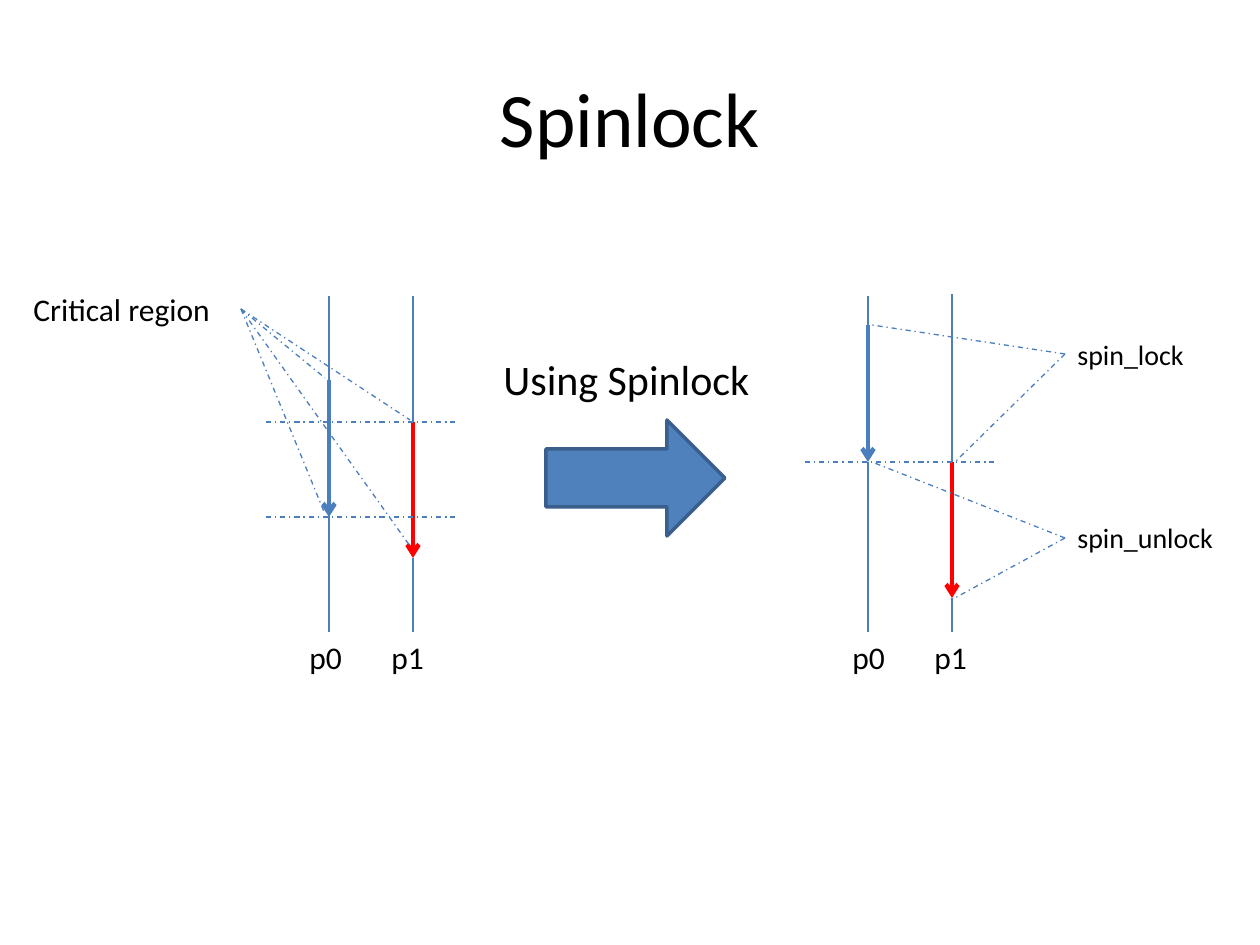
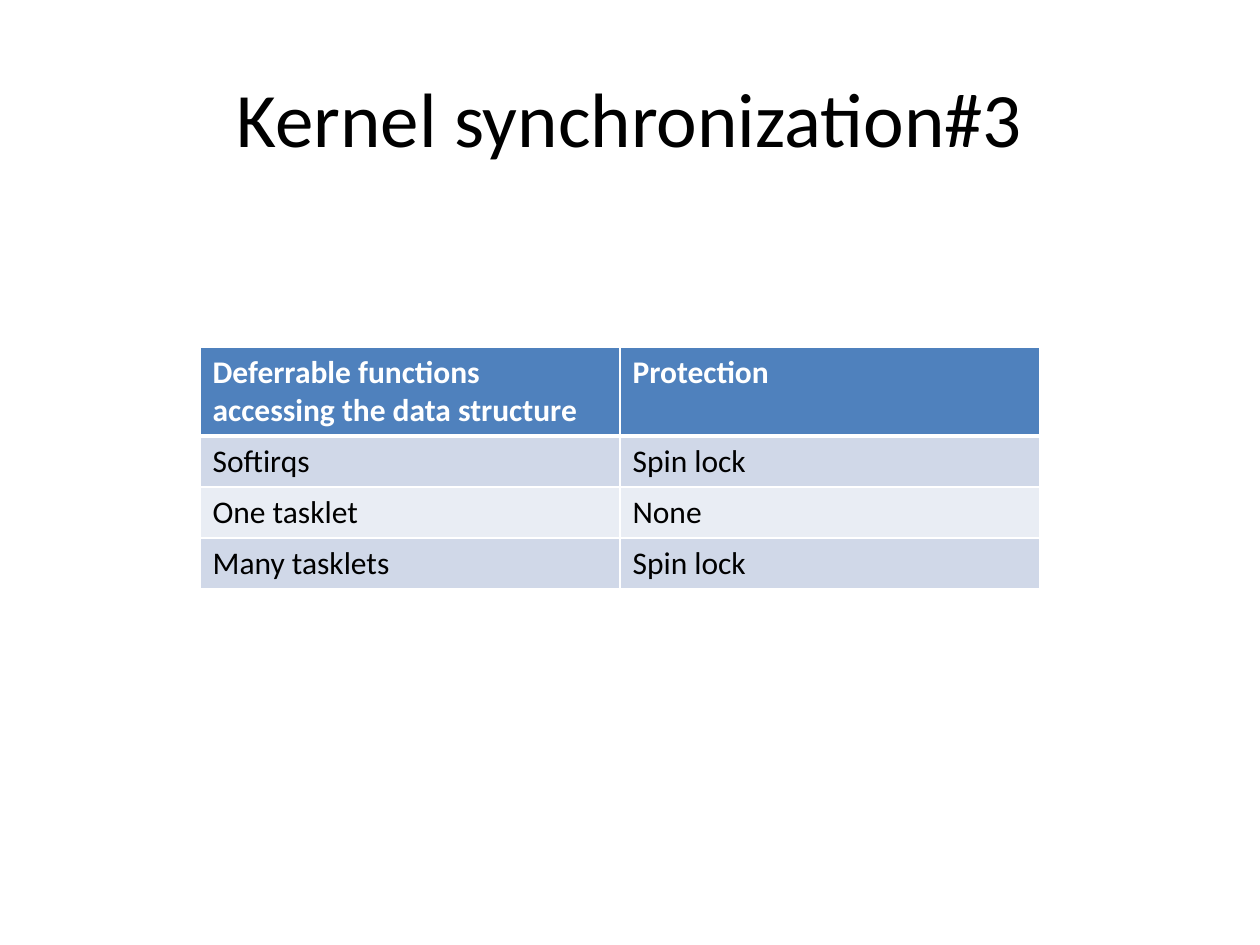
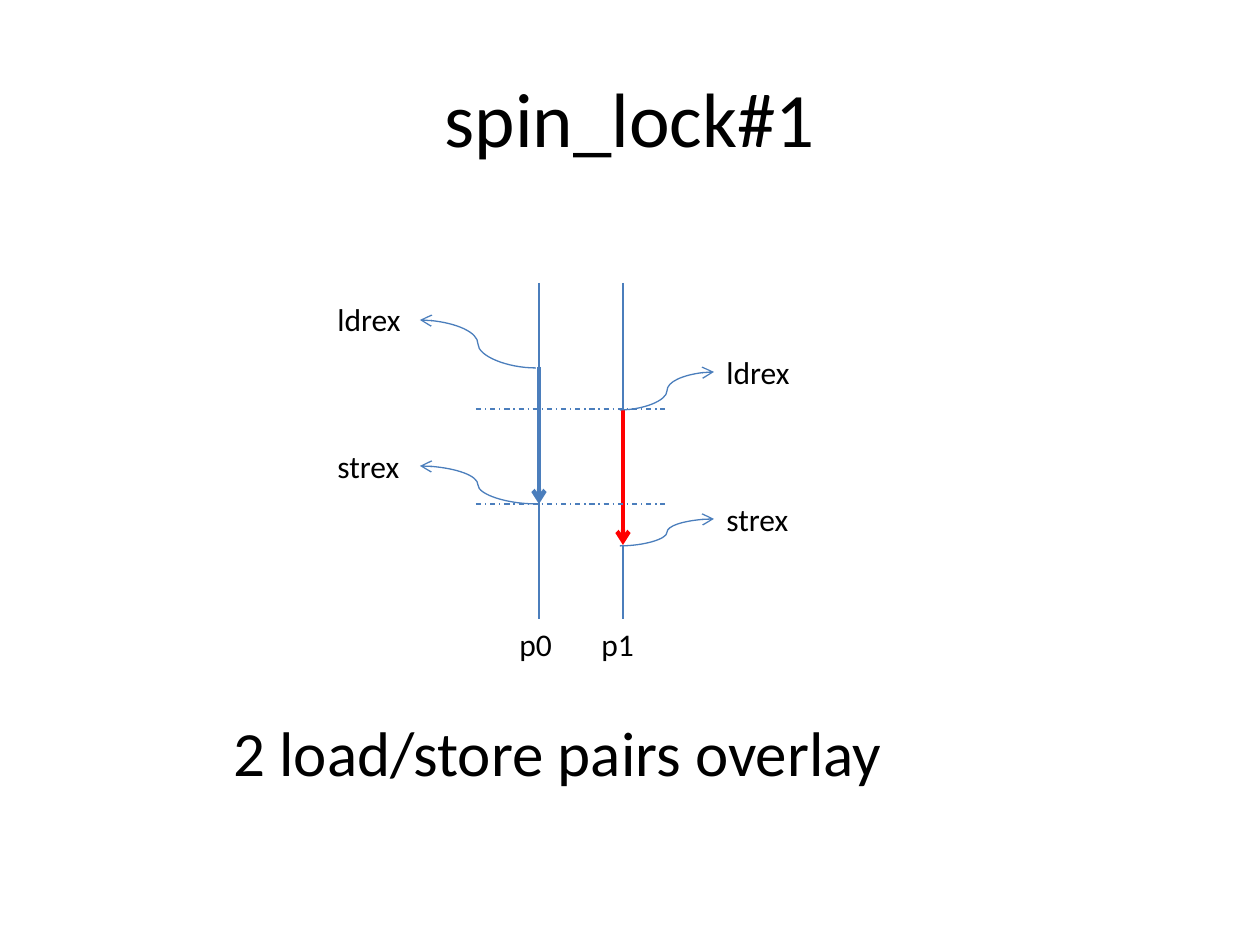
from dataclasses import dataclass

from lxml.etree import SubElement
from pptx import Presentation
from pptx.dml.color import RGBColor
from pptx.enum.dml import MSO_LINE_DASH_STYLE as Dash
from pptx.enum.shapes import MSO_CONNECTOR as Connector, MSO_SHAPE as Preset
from pptx.enum.text import MSO_ANCHOR as Anchor, MSO_AUTO_SIZE as AutoSize, PP_ALIGN as Align
from pptx.oxml.ns import qn
from pptx.util import Emu, Pt

# Shared look
PIXEL = 914400 / 126
FONT = "Calibri"
COLORS = {
    "text": "000000",
    "white": "FFFFFF",
    "line": "4B7EBC",
    "second": "FF0000",
    "fill": "4F81BD",
    "outline": "3A5F8C",
    "odd_row": "D0D8E8",
    "even_row": "E9EDF4",
}


@dataclass
class Label:
    text: str
    left: int
    top: int
    width: int
    height: int = 50
    size: int = 18


@dataclass
class Stroke:
    color: str = "line"
    width: float = 0.75
    dashed: bool = False
    arrow: bool = False


@dataclass
class Lane:
    """One process: a thin time line with a thick arrow where it is busy."""
    name: str
    x: int
    top: int
    before_end: int
    busy_start: int
    busy_end: int
    after_start: int
    label_left: int
    color: str = "line"
    bottom: int = 632


THIN = Stroke(width=1.25)
DASHED = Stroke(dashed=True)
POINTER = Stroke(arrow=True)

# Two lanes whose busy parts overlap, and the levels marked across them
OVERLAPPING = [
    Lane("p0", 329, 296, 391, 380, 517, 495, 297),
    Lane("p1", 413, 296, 432, 422, 558, 558, 379, "second"),
]
OVERLAP_LEVELS = [422, 517]
# The same lanes, taking turns
IN_TURN = [
    Lane("p0", 868, 296, 391, 325, 462, 462, 840),
    Lane("p1", 952, 294, 462, 462, 598, 598, 922, "second"),
]
LEVEL_OVERHANG, LEVEL_WIDTH = 63, 189


def px(value: float) -> Emu:
    return Emu(round(value * PIXEL))


def rgb(name: str) -> RGBColor:
    return RGBColor.from_string(COLORS[name])


def write(frame, text: str, size: int, color: str = "text", bold: bool = False,
          align=Align.LEFT) -> None:
    para = frame.paragraphs[0]
    para.alignment = align
    span = para.add_run()
    span.text = text
    for key, value in {"name": FONT, "size": Pt(size), "bold": bold}.items():
        setattr(span.font, key, value)
    span.font.color.rgb = rgb(color)


def add_label(page, label: Label) -> None:
    box = page.shapes.add_textbox(*map(px, (label.left, label.top, label.width, label.height)))
    frame = box.text_frame
    for key, value in {"word_wrap": False, "auto_size": AutoSize.SHAPE_TO_FIT_TEXT}.items():
        setattr(frame, key, value)
    write(frame, label.text, label.size)


def add_line(page, start: tuple[int, int], end: tuple[int, int], stroke: Stroke,
             kind=Connector.STRAIGHT) -> None:
    line = page.shapes.add_connector(kind, *map(px, (*start, *end)))
    line.line.color.rgb = rgb(stroke.color)
    line.line.width = Pt(stroke.width)
    if stroke.dashed:
        line.line.dash_style = Dash.DASH_DOT
    properties = line._element.spPr
    if stroke.arrow:
        SubElement(properties.find(qn("a:ln")), qn("a:tailEnd"), type="arrow")
    SubElement(properties, qn("a:effectLst"))


def add_lanes(page, lanes: list[Lane], levels: list[int], dx: int = 0, dy: int = 0) -> None:
    for lane in lanes:
        x = lane.x + dx
        for start, end, stroke in (
            (lane.top, lane.before_end, THIN),
            (lane.after_start, lane.bottom, THIN),
            (lane.busy_start, lane.busy_end, Stroke(lane.color, 2.5, arrow=True)),
        ):
            add_line(page, (x, start + dy), (x, end + dy), stroke)
        add_label(page, Label(lane.name, lane.label_left + dx, lane.bottom + dy, 60))
    left = lanes[0].x - LEVEL_OVERHANG + dx
    for level in levels:
        add_line(page, (left, level + dy), (left + LEVEL_WIDTH, level + dy), DASHED)


def add_fan(page, tip: tuple[int, int], ends: list[tuple[int, int]]) -> None:
    for end in ends:
        add_line(page, tip, end, DASHED)


def add_page(deck, title: str):
    page = deck.slides.add_slide(deck.slide_layouts[6])
    box = page.shapes.add_textbox(*map(px, (63, 38, 1134, 157)))
    for key, value in {"word_wrap": True, "vertical_anchor": Anchor.MIDDLE}.items():
        setattr(box.text_frame, key, value)
    write(box.text_frame, title, 44, align=Align.CENTER)
    return page


def set_borders(cell, bottom: float) -> None:
    properties = cell._tc.get_or_add_tcPr()
    for side, width in {"L": 1, "R": 1, "T": 1, "B": bottom}.items():
        border = SubElement(properties, qn(f"a:ln{side}"), w=str(Pt(width)))
        fill = SubElement(border, qn("a:solidFill"))
        SubElement(fill, qn("a:srgbClr"), val=COLORS["white"])


def add_grid(page, rows: list[tuple[str, str]]) -> None:
    heights = [89] + [51] * (len(rows) - 1)
    table = page.shapes.add_table(
        len(rows), 2, *map(px, (200, 347, 840, sum(heights)))).table
    for column in table.columns:
        column.width = px(420)
    for r, (texts, height) in enumerate(zip(rows, heights)):
        header = r == 0
        table.rows[r].height = px(height)
        for c, text in enumerate(texts):
            cell = table.cell(r, c)
            set_borders(cell, 3 if header else 1)
            cell.fill.solid()
            cell.fill.fore_color.rgb = rgb(
                "fill" if header else "odd_row" if r % 2 else "even_row")
            write(cell.text_frame, text, 18, "white" if header else "text", header)


deck = Presentation()
deck.slide_width, deck.slide_height = px(1260), px(945)

# Slide 1: overlapping critical regions become sequential
page = add_page(deck, "Spinlock")
add_lanes(page, OVERLAPPING, OVERLAP_LEVELS)
add_lanes(page, IN_TURN, [462])
arrow = page.shapes.add_shape(Preset.RIGHT_ARROW, *map(px, (546, 420, 179, 116)))
arrow.shadow.inherit = False
arrow.fill.solid()
arrow.fill.fore_color.rgb = rgb("fill")
arrow.line.color.rgb = rgb("outline")
arrow.line.width = Pt(2)
for label in (
    Label("Critical region", 21, 284, 219),
    Label("Using Spinlock", 491, 347, 306, 63, 24),
    Label("spin_lock", 1065, 331, 142, 47, 16),
    Label("spin_unlock", 1065, 514, 174, 47, 16),
):
    add_label(page, label)
add_fan(page, (241, 309), [(325, 378), (325, 514), (410, 420), (410, 546)])
add_fan(page, (1065, 354), [(872, 325), (955, 462)])
add_fan(page, (1065, 538), [(872, 462), (955, 598)])

# Slide 2: protection table
page = add_page(deck, "Kernel synchronization#3")
add_grid(page, [
    ("Deferrable functions accessing the data structure", "Protection"),
    ("Softirqs", "Spin lock"),
    ("One tasklet", "None"),
    ("Many tasklets", "Spin lock"),
])

# Slide 3: overlapping load/store pairs
page = add_page(deck, "spin_lock#1")
add_lanes(page, OVERLAPPING, OVERLAP_LEVELS, dx=210, dy=-13)
for label in (
    Label("ldrex", 325, 294, 95),
    Label("strex", 325, 441, 95),
    Label("ldrex", 714, 347, 95),
    Label("strex", 714, 494, 95),
    Label("2 load/store pairs overlay", 221, 707, 736, 89, 36),
):
    add_label(page, label)
for start, end in (
    ((536, 368), (420, 320)),
    ((536, 504), (420, 466)),
    ((620, 410), (714, 372)),
    ((620, 546), (714, 519)),
):
    add_line(page, start, end, POINTER, Connector.CURVE)

deck.save("out.pptx")
